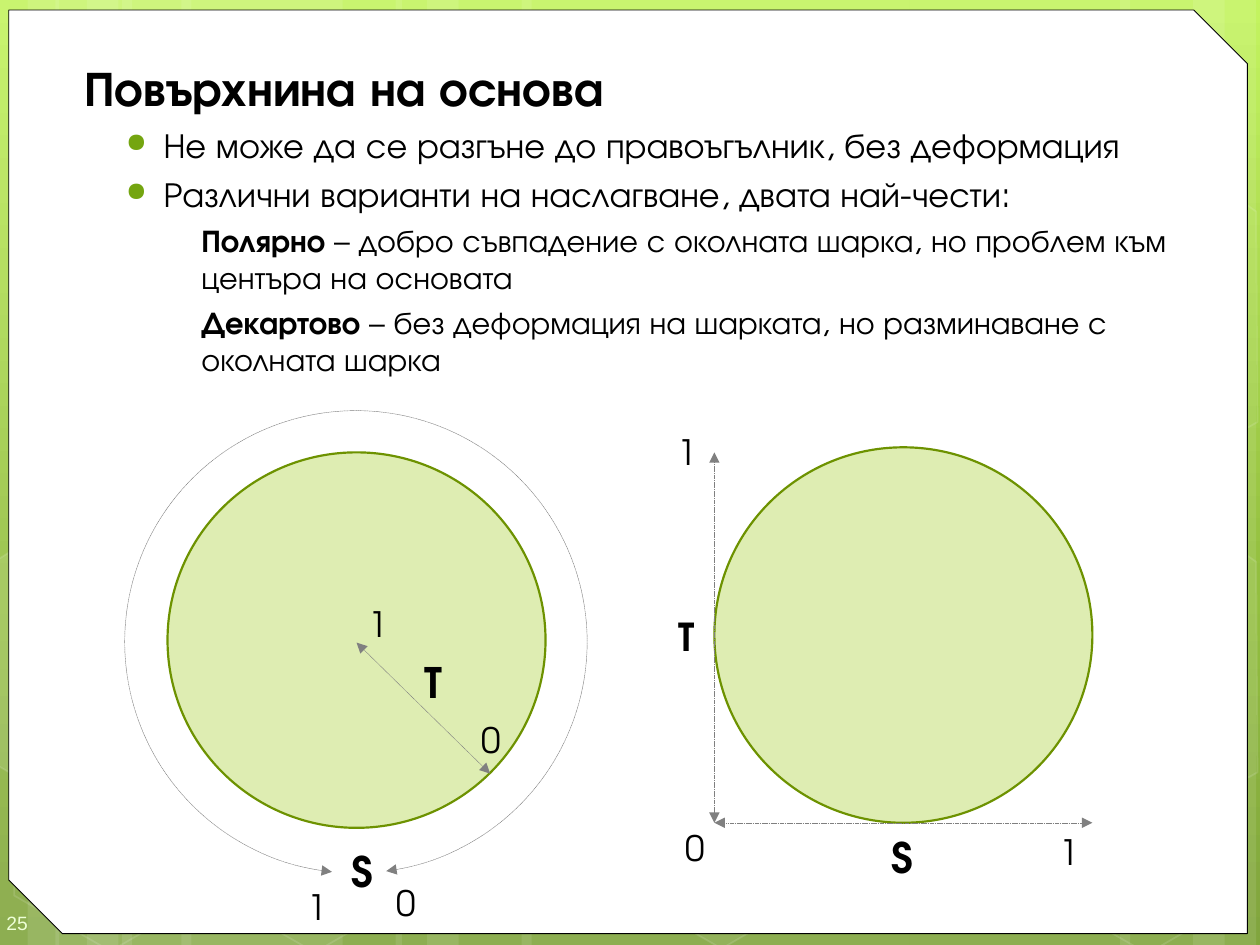
from copy import deepcopy

from pptx import Presentation
from pptx.dml.color import RGBColor
from pptx.enum.dml import MSO_LINE
from pptx.enum.shapes import MSO_CONNECTOR, MSO_SHAPE
from pptx.enum.text import MSO_ANCHOR, MSO_AUTO_SIZE, PP_ALIGN
from pptx.oxml.ns import qn
from pptx.util import Inches, Pt

ARC, BAND = MSO_SHAPE.ARC, MSO_SHAPE.RECTANGLE
CIRCLE, HEXAGON = MSO_SHAPE.OVAL, MSO_SHAPE.HEXAGON
PANEL = MSO_SHAPE.SNIP_2_DIAG_RECTANGLE
STRAIGHT, DASH = MSO_CONNECTOR.STRAIGHT, MSO_LINE.SQUARE_DOT
LEFT, TOP, MIDDLE = PP_ALIGN.LEFT, MSO_ANCHOR.TOP, MSO_ANCHOR.MIDDLE
NO_FIT, GROW = MSO_AUTO_SIZE.NONE, MSO_AUTO_SIZE.SHAPE_TO_FIT_TEXT
TITLE_ONLY = 5

COLORS = {
    "white": "FFFFFF", "black": "000000", "bullet": "74A510",
    "disc": "94C600", "rim": "6D9200", "axis": "808080", "number": "EEFFD6",
}
BACKGROUND = [(0, "C3F35F"), (0.62, "93BF3F"), (1, "81A53E")]
BANDS = [
    (0.97, 1.75), (-0.03, 0.5), (0.22, 0.83), (1.44, 1.75), (0.44, 0.5),
    (0.69, 0.83), (7.22, 1.75), (9.47, 0.5), (8.89, 0.83), (4.14, 3.08),
    (3.14, 0.5), (3.39, 0.83),
]
HEXAGONS = [(4.85, 5.89, 6), (0, 5.91, 0), (1.62, 5.92, 0), (8.23, 5.93, 0)]
LEFT_EDGE = [(-0.03, 4.45), (0.08, 4.38), (0.85, 4.82), (0.84, 5.7), (0.09, 6.14), (-0.03, 6.07)]
RIGHT_EDGE = [(9.15, 4.85), (9.9, 4.41), (9.97, 4.46), (9.98, 6.13), (9.91, 6.17), (9.14, 5.73)]
RIGHT_UPPER_EDGE = [(x, y - 2.78) for x, y in RIGHT_EDGE]
BULLETS = [
    (1, "", "Не може да се разгъне до правоъгълник, без деформация"),
    (1, "", "Различни варианти на наслагване, двата най-чести:"),
    (2, "Полярно", " – добро съвпадение с околната шарка, но проблем към центъра на основата"),
    (2, "Декартово", " – без деформация на шарката, но разминаване с околната шарка"),
]
AXIS_NAMES = [("S", 2.69, 6.66), ("T", 3.27, 5.16), ("S", 6.98, 6.55), ("Т", 5.29, 4.79)]
AXIS_ENDS = [
    ("0", 3.72, 5.65), ("1", 2.83, 4.73), ("0", 3.05, 6.95), ("1", 2.34, 6.98),
    ("0", 5.34, 6.51), ("1", 8.31, 6.54), ("1", 5.28, 3.37),
]


class SlideBuilder:
    font_name = "TeX Gyre Adventor"

    def __init__(self, slide):
        self.slide = slide

    def color(self, name):
        return RGBColor.from_string(COLORS[name])

    def add_element(self, parent, tag, **attributes):
        element = parent.makeelement(qn(tag), attributes)
        parent.append(element)
        return element

    def paint(self, fill, name, opacity=100):
        if not opacity:
            fill.background()
            return
        fill.solid()
        fill.fore_color.rgb = self.color(name)
        if opacity < 100:
            color = fill._xPr.find(".//" + qn("a:srgbClr"))
            self.add_element(color, "a:alpha", val=str(opacity * 1000))

    def set_font(self, font, size, bold=False, color="black", name=None):
        font.name = name or self.font_name
        font.size = Pt(size)
        font.bold = bold
        font.color.rgb = self.color(color)

    def background(self, stops):
        fill = self.slide.background.fill
        fill.gradient()
        fill.gradient_angle = 270
        stop_list = self.slide.element.find(".//" + qn("a:gsLst"))
        stop_list.append(deepcopy(stop_list[-1]))
        for stop, (position, color) in zip(fill.gradient_stops, stops):
            stop.position = position
            stop.color.rgb = RGBColor.from_string(color)

    def style(self, shape, fill, opacity, line, width, line_opacity=100):
        shape.shadow.inherit = False
        self.paint(shape.fill, fill, opacity)
        if line:
            shape.line.width = Pt(width)
            self.paint(shape.line.fill, line, line_opacity)
        else:
            shape.line.fill.background()

    def shape(self, kind, box, fill="white", opacity=100, line=None, width=1,
              line_opacity=100, adjustments=(), rotation=0):
        shape = self.slide.shapes.add_shape(kind, *map(Inches, box))
        for index, value in enumerate(adjustments):
            shape.adjustments[index] = value
        shape.rotation = rotation
        self.style(shape, fill, opacity, line, width, line_opacity)
        return shape

    def outline(self, points, opacity):
        vertices = [(Inches(x), Inches(y)) for x, y in points]
        builder = self.slide.shapes.build_freeform(*vertices[0])
        builder.add_line_segments(vertices[1:], close=True)
        self.style(builder.convert_to_shape(), "white", opacity, "white", 1, 12)

    def arrows(self, line):
        line.width = Pt(0.25)
        line.color.rgb = self.color("axis")
        line.dash_style = DASH
        element = line._get_or_add_ln()
        for tag in ("a:headEnd", "a:tailEnd"):
            self.add_element(element, tag, type="triangle")

    def axis(self, start, end):
        connector = self.slide.shapes.add_connector(STRAIGHT, *map(Inches, start + end))
        self.arrows(connector.line)
        self.add_element(connector._element.spPr, "a:effectLst")

    def arc(self, box, adjustments):
        shape = self.shape(ARC, box, opacity=0, line="axis", adjustments=adjustments)
        self.arrows(shape.line)

    def title(self, text, box):
        title = self.slide.shapes.title
        title._element.getparent().append(title._element)
        title.left, title.top, title.width, title.height = map(Inches, box)
        frame = title.text_frame
        frame.text = text
        frame.auto_size = NO_FIT
        frame.vertical_anchor = TOP
        paragraph = frame.paragraphs[0]
        paragraph.alignment = LEFT
        paragraph._p.get_or_add_pPr().set("marL", str(Inches(0.07)))
        self.set_font(paragraph.font, 28, True)

    def bullets(self, items, box):
        frame = self.slide.shapes.add_textbox(*map(Inches, box)).text_frame
        frame.word_wrap = True
        for index, (level, lead, text) in enumerate(items):
            paragraph = frame.add_paragraph() if index else frame.paragraphs[0]
            paragraph.level = level
            properties = paragraph._p.get_or_add_pPr()
            properties.set("marL", str(Inches(0.7 if level == 1 else 1)))
            if level == 1:
                properties.set("indent", str(Inches(-0.3)))
                bullet_color = self.add_element(properties, "a:buClr")
                self.add_element(bullet_color, "a:srgbClr", val=COLORS["bullet"])
                self.add_element(properties, "a:buSzPct", val="76000")
                self.add_element(properties, "a:buChar", char="●")
            size = 20 if level == 1 else 18
            if index:
                paragraph.space_before = Pt(size * 0.2)
            self.set_font(paragraph.font, size)
            if lead:
                run = paragraph.add_run()
                run.text = lead
                run.font.bold = True
            paragraph.add_run().text = text

    def label(self, text, left, top, size, bold=False):
        width, height = (0.38, 0.5) if bold else (0.36, 0.44)
        box = self.slide.shapes.add_textbox(*map(Inches, (left, top, width, height)))
        frame = box.text_frame
        frame.word_wrap = False
        frame.auto_size = GROW
        frame.text = text
        self.set_font(frame.paragraphs[0].font, size, bold)

    def slide_number(self, text):
        frame = self.slide.shapes.add_textbox(*map(Inches, (0, 7.1, 0.58, 0.4))).text_frame
        frame.word_wrap = True
        frame.vertical_anchor = MIDDLE
        frame.margin_left, frame.margin_top = Inches(0.05), Inches(0.15)
        frame.margin_right, frame.margin_bottom = 0, Inches(0.1)
        frame.text = text
        self.set_font(frame.paragraphs[0].font, 11, color="number", name="Arial")


def main():
    presentation = Presentation()
    presentation.slide_width, presentation.slide_height = Inches(10), Inches(7.5)
    slide = presentation.slides.add_slide(presentation.slide_layouts[TITLE_ONLY])
    builder = SlideBuilder(slide)

    builder.background(BACKGROUND)
    for left, width in BANDS:
        builder.shape(BAND, (left, 0, width, 7.5), opacity=10)
    for left, top, opacity in HEXAGONS:
        builder.shape(HEXAGON, (left, top, 1.75, 1.52), opacity=opacity, line="white",
                      line_opacity=12, adjustments=(0.285, 1.155), rotation=30)
    for points, opacity in ((LEFT_EDGE, 10), (RIGHT_EDGE, 4), (RIGHT_UPPER_EDGE, 0)):
        builder.outline(points, opacity)
    builder.shape(PANEL, (0.07, 0.08, 9.83, 7.33), line="black", width=0.5, adjustments=(0, 0.058))
    builder.slide_number("25")

    builder.title("Повърхнина на основа", (0.5, 0.41, 9.42, 0.57))
    builder.bullets(BULLETS, (0.5, 0.93, 9.42, 2.2))

    for left, top in ((1.33, 3.59), (5.67, 3.55)):
        builder.shape(CIRCLE, (left, top, 3, 2.98), "disc", 30, "rim", 1.25)
    builder.arc((0.99, 3.26, 3.67, 3.67), (57.567, 49.478))
    builder.axis((3.89, 6.14), (2.83, 5.1))
    builder.axis((8.67, 6.53), (5.67, 6.53))
    builder.axis((5.67, 3.59), (5.67, 6.53))
    for text, left, top in AXIS_NAMES:
        builder.label(text, left, top, 24, True)
    for text, left, top in AXIS_ENDS:
        builder.label(text, left, top, 20)

    presentation.save("out.pptx")


if __name__ == "__main__":
    main()
